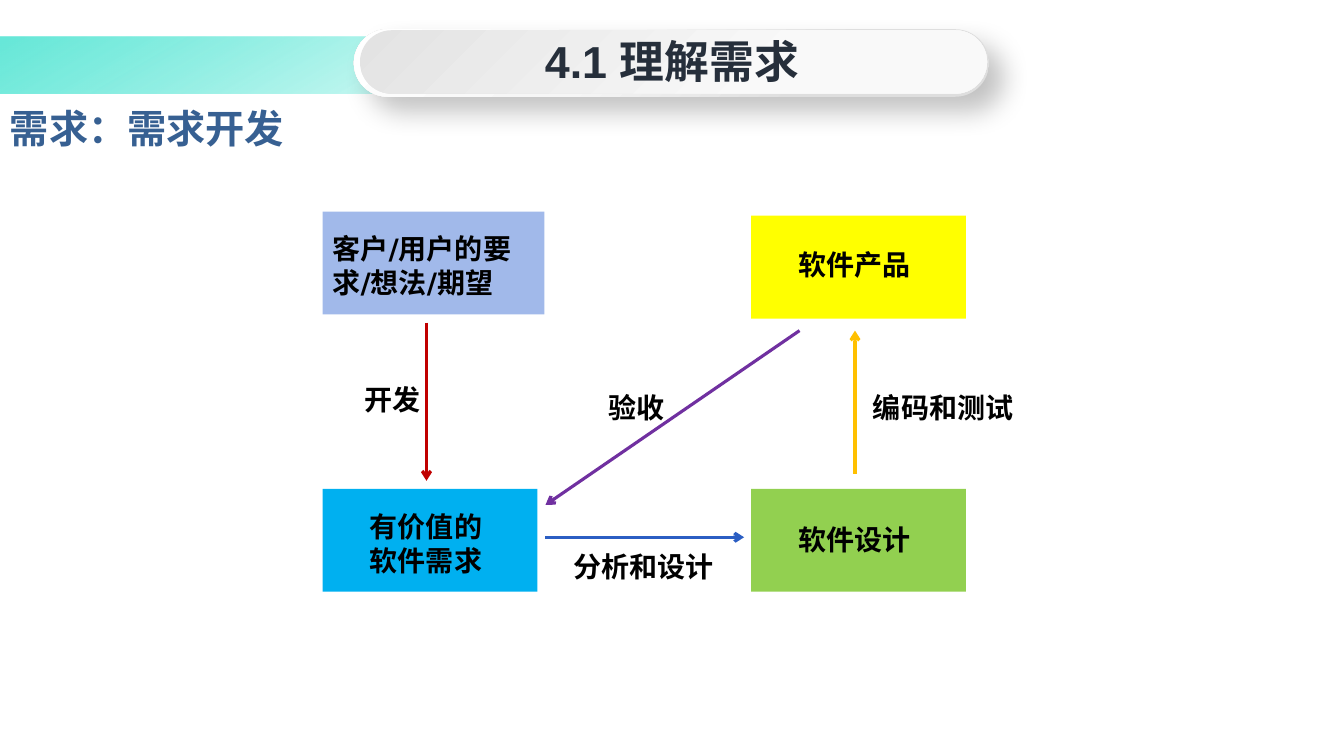
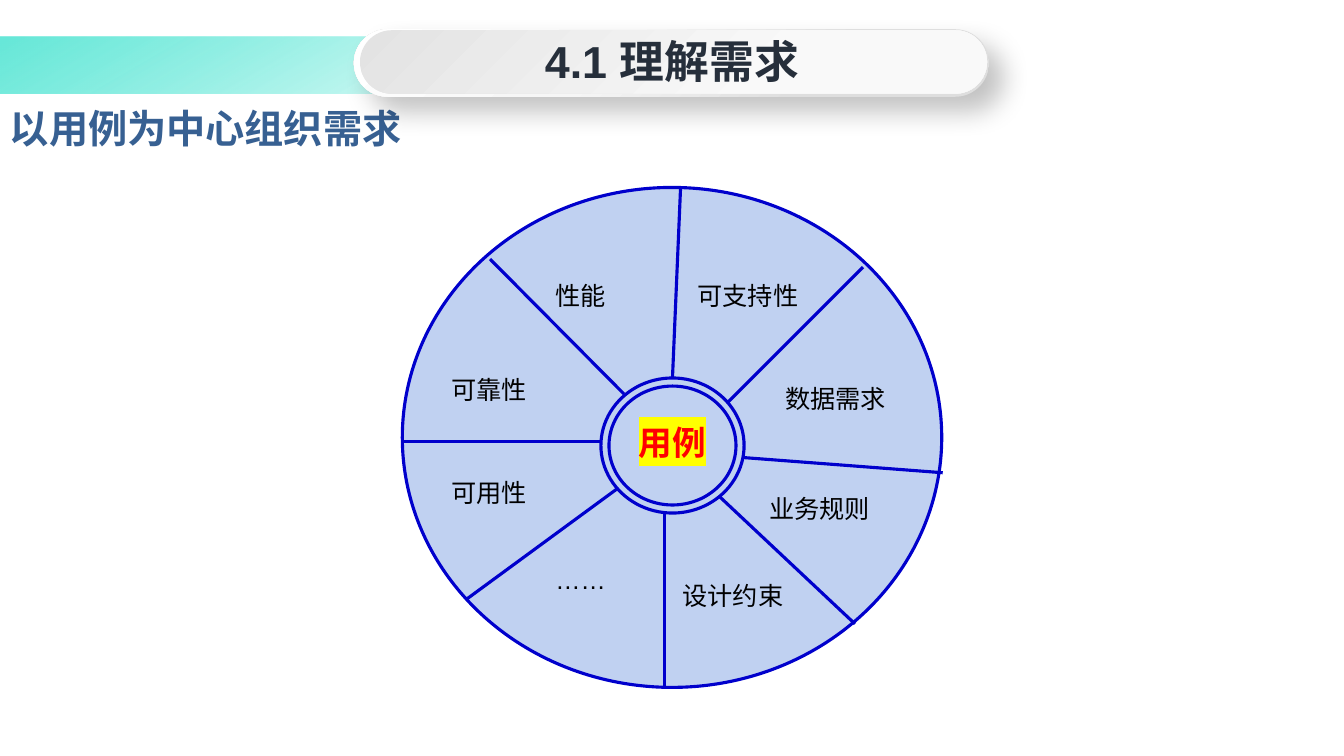
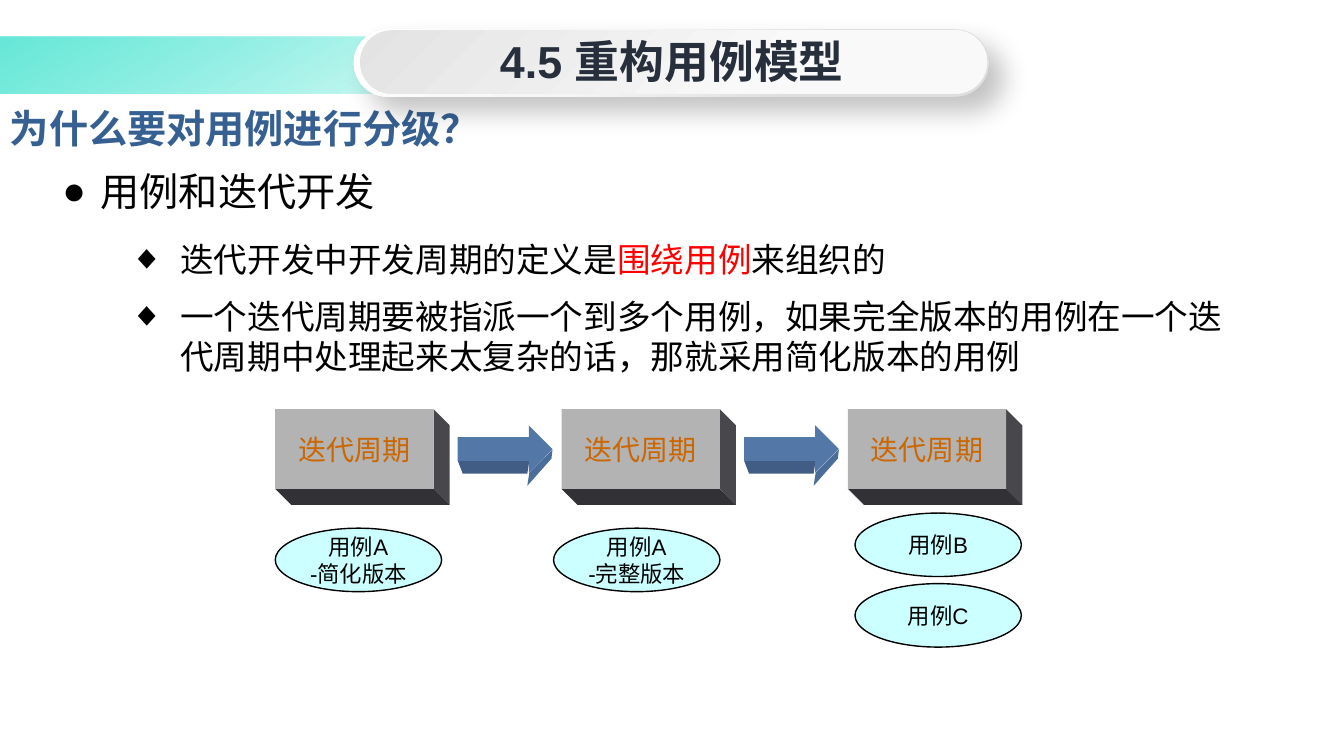
from lxml import etree
from pptx import Presentation
from pptx.dml.color import RGBColor
from pptx.enum.shapes import MSO_CONNECTOR, MSO_SHAPE
from pptx.enum.text import MSO_ANCHOR, PP_ALIGN
from pptx.oxml.ns import qn
from pptx.util import Pt

RECT, ROUND = MSO_SHAPE.RECTANGLE, MSO_SHAPE.ROUNDED_RECTANGLE
OVAL, ARROW = MSO_SHAPE.OVAL, MSO_SHAPE.RIGHT_ARROW
STRAIGHT = MSO_CONNECTOR.STRAIGHT
LEFT, CENTER = PP_ALIGN.LEFT, PP_ALIGN.CENTER
TOP, MIDDLE = MSO_ANCHOR.TOP, MSO_ANCHOR.MIDDLE

EMU_PER_PX = 9144  # 100 px to the inch


class Theme:
    """Colours, fonts and type sizes of the deck."""
    ink, red, highlight = "000000", "FF0000", "FFFF00"
    title, heading = "262F3B", "376092"
    wheel, wheel_line = "C0D1F1", "0000CC"
    block, block_side, block_base, block_text = "B3B3B3", "47474C", "323236", "CC6600"
    flow, flow_base, flow_tip = "5378A8", "415C85", "4B6D9A"
    oval = "CCFFFF"
    # Gradient stops: position, colour, opacity in percent
    band_stops = [(1, "4EE4D2", 85), (50, "20E2CB", 0)]
    rim_stops = [(1, "DEDEDE", 100), (30, "E0E0E0", 100),
                 (61, "F6F6F6", 100), (100, "FFFFFF", 100)]
    pill_stops = [(0, "E3E3E3", 100), (67, "F9F9F9", 100)]
    sans, diagram, cjk = "Arial", "DejaVu Sans", "Noto Sans CJK SC"
    title_size, heading_size, point_size, hub_size = 32, 28, 24, 24
    box_size, label_size, oval_size = 20, 18, 16
    stroke, thin = 2.25, 1


def px(value):
    return int(value * EMU_PER_PX)


def add_xml(parent, tag, **attributes):
    child = etree.SubElement(parent, qn(tag))
    for key, value in attributes.items():
        child.set(key, str(value))
    return child


def write(paragraph, text, size, font=Theme.sans, color=Theme.ink, bold=False,
          align=LEFT, highlight=None):
    """Append formatted text; a newline becomes a line break."""
    paragraph.alignment = align
    for index, line in enumerate(text.split("\n")):
        if index:
            paragraph.add_line_break()
        run = paragraph.add_run()
        run.text = line
        run.font.size, run.font.bold = Pt(size), bold
        run.font.color.rgb = RGBColor.from_string(color)
        properties = run.font._element
        if highlight:
            add_xml(add_xml(properties, "a:highlight"), "a:srgbClr", val=highlight)
        run.font.name = font
        add_xml(properties, "a:ea", typeface=font)


class Deck:
    def __init__(self):
        self.file = Presentation()
        self.file.slide_width, self.file.slide_height = px(1333), px(750)
        self.slide = None

    def new_slide(self, title, heading):
        """Start a slide with its band, title pill and heading."""
        self.slide = self.file.slides.add_slide(self.file.slide_layouts[6])
        band = self.shape(RECT, -1, 36, 1317, 57)
        self.gradient(band, Theme.band_stops, 60)
        self.text(heading, 0, 93, 1338, 67, anchor=MIDDLE, size=Theme.heading_size,
                  color=Theme.heading, bold=True)
        rim = self.shape(ROUND, 351, 29, 630, 67)
        self.gradient(rim, Theme.rim_stops, 225)
        self.cast_shadow(rim)
        pill = self.shape(ROUND, 357, 30, 622, 63)
        self.gradient(pill, Theme.pill_stops, 45)
        for part in (rim, pill):
            part.adjustments[0] = 0.5
        self.text(title, 381, 29, 571, 64, size=Theme.title_size, color=Theme.title,
                  bold=True, align=CENTER)

    def paint(self, shape, fill=None, line=None, width=Theme.stroke):
        shape.shadow.inherit = False
        if fill:
            shape.fill.solid()
            shape.fill.fore_color.rgb = RGBColor.from_string(fill)
        else:
            shape.fill.background()
        if line:
            shape.line.color.rgb = RGBColor.from_string(line)
            shape.line.width = Pt(width)
        else:
            shape.line.fill.background()
        return shape

    def shape(self, kind, x, y, w, h, **look):
        shape = self.slide.shapes.add_shape(kind, px(x), px(y), px(w), px(h))
        return self.paint(shape, **look)

    def outline(self, points, fill):
        builder = self.slide.shapes.build_freeform(*points[0], scale=EMU_PER_PX)
        builder.add_line_segments(points[1:], close=True)
        return self.paint(builder.convert_to_shape(), fill)

    def gradient(self, shape, stops, angle):
        shape.fill.gradient()
        grad = shape._element.spPr.find(qn("a:gradFill"))
        for child in list(grad):
            grad.remove(child)
        stop_list = add_xml(grad, "a:gsLst")
        for position, color, opacity in stops:
            stop = add_xml(stop_list, "a:gs", pos=position * 1000)
            tint = add_xml(stop, "a:srgbClr", val=color)
            if opacity < 100:
                add_xml(tint, "a:alpha", val=opacity * 1000)
        add_xml(grad, "a:lin", ang=angle * 60000, scaled=0)

    def cast_shadow(self, shape):
        effects = shape._element.spPr.find(qn("a:effectLst"))
        shadow = add_xml(effects, "a:outerShdw", blurRad=Pt(19), dist=Pt(14),
                         dir=45 * 60000, algn="tl", rotWithShape=0)
        add_xml(add_xml(shadow, "a:srgbClr", val=Theme.ink), "a:alpha", val=24000)

    def text(self, text, x, y, w, h, anchor=TOP, **style):
        box = self.slide.shapes.add_textbox(px(x), px(y), px(w), px(h))
        frame = box.text_frame
        frame.word_wrap, frame.vertical_anchor = True, anchor
        if text:
            write(frame.paragraphs[0], text, **style)
        return frame

    def label(self, shape, lines, **style):
        """Centre lines of text inside a shape, without wrapping."""
        frame = shape.text_frame
        frame.word_wrap, frame.vertical_anchor = False, MIDDLE
        for index, line in enumerate(lines):
            paragraph = frame.add_paragraph() if index else frame.paragraphs[0]
            write(paragraph, line, align=CENTER, **style)

    def line(self, start, end, color, arrow=False):
        line = self.slide.shapes.add_connector(STRAIGHT, *map(px, start + end))
        line.line.color.rgb = RGBColor.from_string(color)
        line.line.width = Pt(Theme.stroke)
        if arrow:
            add_xml(line.line._get_or_add_ln(), "a:tailEnd", type="arrow")
        add_xml(line._element.spPr, "a:effectLst")

    def bullet(self, paragraph, mark, margin, hanging):
        properties = paragraph._p.get_or_add_pPr()
        properties.set("marL", str(px(margin)))
        properties.set("indent", str(-px(hanging)))
        add_xml(properties, "a:buFont", typeface=Theme.sans)
        add_xml(properties, "a:buChar", char=mark)

    def block(self, x, y, text):
        """A solid block seen from the lower right."""
        w, h, depth = 157, 79, 16
        right, bottom = x + w, y + h
        far = (right + depth, bottom + depth)
        self.outline([(right, y), (right + depth, y + depth), far, (right, bottom)],
                     Theme.block_side)
        self.outline([(x, bottom), (right, bottom), far, (x + depth, bottom + depth)],
                     Theme.block_base)
        face = self.shape(RECT, x, y, w, h, fill=Theme.block)
        self.label(face, [text], size=Theme.box_size, color=Theme.block_text)

    def solid_arrow(self, x, y):
        """A right arrow with its underside showing."""
        w, h, depth = 94, 47, 13
        neck, tip, shaft, bottom = x + 71, x + w, y + 35, y + h
        self.outline([(x, shaft), (neck, shaft), (neck - 2, shaft + depth),
                      (x + 5, shaft + depth)], Theme.flow_base)
        self.outline([(tip, y + 24), (tip - 1, y + 33), (neck - 2, bottom + depth),
                      (neck, bottom)], Theme.flow_tip)
        self.shape(ARROW, x, y, w, h, fill=Theme.flow)


def requirements_slide(deck):
    deck.new_slide("4.1 理解需求", "需求：需求开发")
    style = dict(size=Theme.box_size, font=Theme.diagram, bold=True)
    # Stages: box, fill, caption, caption place, alignment
    stages = [
        ((320, 210, 220, 102), "A1B9EA", "客户/用户的要求/想法/期望", (320, 225, 230, 77), LEFT),
        ((745, 485, 213, 102), "92D050", "软件设计", (745, 513, 205, 43), CENTER),
        ((745, 214, 213, 102), "FFFF00", "软件产品", (745, 241, 205, 43), CENTER),
        ((320, 485, 213, 102), "00B0F0", "有价值的\n软件需求", (320, 501, 205, 77), CENTER),
    ]
    for box, fill, caption, place, align in stages:
        deck.shape(RECT, *box, fill=fill)
        deck.text(caption, *place, align=align, **style)
    # Steps between the stages
    steps = [
        ((423, 320), (423, 477), "C00000", "开发", (352, 375, 79, 43), LEFT),
        ((848, 470), (848, 328), "FFC000", "编码和测试", (856, 383, 165, 43), LEFT),
        ((793, 328), (541, 501), "7030A0", "验收", (588, 383, 87, 43), CENTER),
        ((541, 533), (738, 533), "2B5EC3", "分析和设计", (556, 540, 165, 43), CENTER),
    ]
    for start, end, color, caption, place, align in steps:
        deck.line(start, end, color, arrow=True)
        deck.text(caption, *place, align=align, **style)


def use_case_wheel_slide(deck):
    deck.new_slide("4.1 理解需求", "以用例为中心组织需求")
    # Wheel and hub
    deck.shape(OVAL, 399, 186, 535, 496, fill=Theme.wheel, line=Theme.wheel_line)
    for ring in [(604, 383, 126, 118), (596, 375, 142, 134)]:
        deck.shape(OVAL, *ring, line=Theme.wheel_line)
    deck.text("用例", 612, 414, 110, 50, size=Theme.hub_size, font=Theme.cjk,
              color=Theme.red, bold=True, align=CENTER, highlight=Theme.highlight)
    # Spokes from hub to rim
    spokes = [
        ((722, 399), (856, 265)), ((738, 454), (935, 469)),
        ((667, 375), (675, 186)), ((619, 391), (486, 257)),
        ((612, 485), (462, 595)), ((659, 509), (659, 682)),
        ((714, 493), (848, 619)), ((596, 438), (399, 438)),
    ]
    for hub_end, rim_end in spokes:
        deck.line(hub_end, rim_end, Theme.wheel_line)
    # Sector names
    sectors = [
        ("可支持性", 682, 273, 126), ("数据需求", 769, 375, 157),
        ("业务规则", 753, 484, 165), ("设计约束", 667, 571, 142),
        ("……", 541, 555, 142), ("可用性", 438, 469, 173),
        ("可靠性", 438, 366, 150), ("性能", 541, 273, 142),
    ]
    for name, x, y, w in sectors:
        font = Theme.sans if name == "……" else Theme.cjk
        deck.text(name, x, y, w, 40, size=Theme.label_size, font=font)


def iteration_slide(deck):
    deck.new_slide("4.5 重构用例模型", "为什么要对用例进行分级？")
    # Bulleted points
    body = deck.text("", 52, 161, 1197, 289)
    topic = body.paragraphs[0]
    deck.bullet(topic, "●", 38, 38)
    write(topic, "用例和迭代开发", Theme.heading_size)
    points = [
        (1.4, [("迭代开发中开发周期的定义是", Theme.ink), ("围绕用例", Theme.red),
               ("来组织的", Theme.ink)]),
        (1.0, [("一个迭代周期要被指派一个到多个用例，如果完全版本的用例在一个迭代周期中"
                "处理起来太复杂的话，那就采用简化版本的用例", Theme.ink)]),
    ]
    for spacing, parts in points:
        point = body.add_paragraph()
        point.level, point.line_spacing = 1, spacing
        point.space_before = point.space_after = Pt(6)
        deck.bullet(point, "◆", 117, 50)
        for text, color in parts:
            write(point, text, Theme.point_size, color=color)
    # Iteration cycles and the arrows between them
    pitch = 284
    for cycle in range(3):
        deck.block(273 + cycle * pitch, 406, "迭代周期")
        if cycle < 2:
            deck.solid_arrow(454 + cycle * pitch, 422)
    # Use cases of each cycle
    use_cases = [
        (273, 524, ["用例A", "-简化版本"]), (549, 524, ["用例A", "-完整版本"]),
        (848, 509, ["用例B"]), (848, 579, ["用例C"]),
    ]
    for x, y, lines in use_cases:
        oval = deck.shape(OVAL, x, y, 165, 63, fill=Theme.oval, line=Theme.ink,
                          width=Theme.thin)
        deck.label(oval, lines, size=Theme.oval_size)


def main():
    deck = Deck()
    requirements_slide(deck)
    use_case_wheel_slide(deck)
    iteration_slide(deck)
    deck.file.save("out.pptx")


if __name__ == "__main__":
    main()
